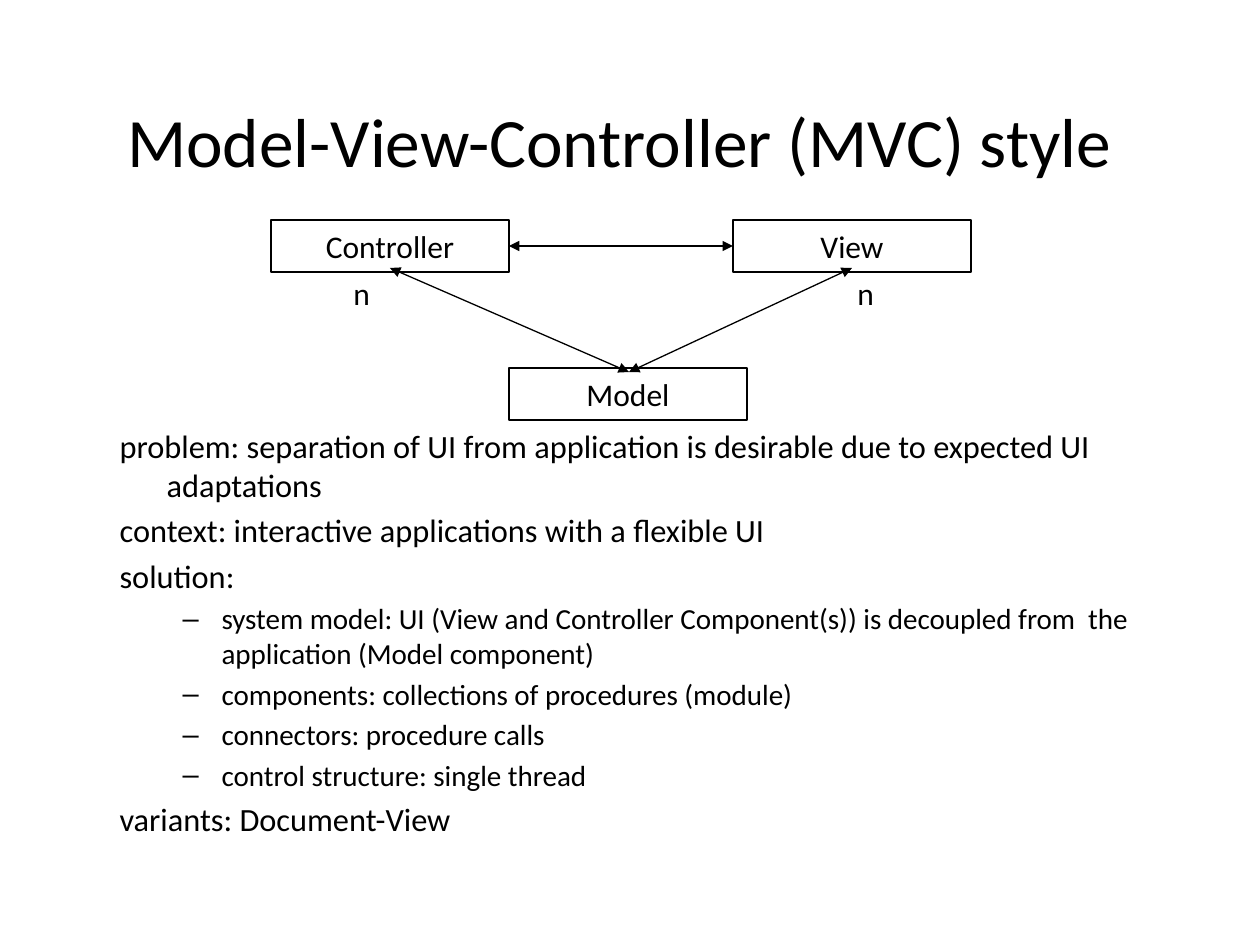
from lxml import etree
from pptx import Presentation
from pptx.dml.color import RGBColor
from pptx.enum.shapes import MSO_CONNECTOR, MSO_SHAPE
from pptx.enum.text import MSO_ANCHOR, MSO_AUTO_SIZE, PP_ALIGN
from pptx.oxml.ns import qn
from pptx.util import Inches, Pt

PX = 914400 / 126
FONT, BLACK, WHITE = "Calibri", "000000", "FFFFFF"
TITLE = "Model-View-Controller (MVC) style"
BODY = [
    (0, "problem: separation of UI from application is desirable due to expected UI adaptations"),
    (0, "context: interactive applications with a flexible UI"),
    (0, "solution:"),
    (1, "system model: UI (View and Controller Component(s)) is decoupled from  the application (Model component)"),
    (1, "components: collections of procedures (module)"),
    (1, "connectors: procedure calls"),
    (1, "control structure: single thread"),
    (0, "variants: Document-View"),
]
# Per level: text size, left margin px, bullet character
LEVELS = [(18.5, 47, None), (16.6, 102, "–")]
HANGS = [47, 39]


def px(*values):
    return [round(v * PX) for v in values]


def color(value):
    return RGBColor.from_string(value)


def place(sp, box):
    sp.left, sp.top, sp.width, sp.height = px(*box)


def add_run(p, text, size):
    r = p.add_run()
    r.text = text
    r.font.name, r.font.size = FONT, Pt(size)
    r.font.color.rgb = color(BLACK)


def add_title(sp, box):
    place(sp, box)
    tf = sp.text_frame
    tf.auto_size = MSO_AUTO_SIZE.NONE
    tf.vertical_anchor = MSO_ANCHOR.MIDDLE
    p = tf.paragraphs[0]
    p.alignment = PP_ALIGN.CENTER
    add_run(p, TITLE, 39.6)


def set_bullet(p, margin, hang, char):
    pPr = p._p.get_or_add_pPr()
    pPr.set("marL", str(px(margin)[0]))
    pPr.set("indent", str(-px(hang)[0]))
    if char:
        etree.SubElement(pPr, qn("a:buChar")).set("char", char)
    else:
        etree.SubElement(pPr, qn("a:buNone"))


def add_body(sp, box):
    place(sp, box)
    tf = sp.text_frame
    tf.auto_size = MSO_AUTO_SIZE.NONE
    for i, (level, text) in enumerate(BODY):
        p = tf.add_paragraph() if i else tf.paragraphs[0]
        size, margin, char = LEVELS[level]
        p.level = level
        set_bullet(p, margin, HANGS[level], char)
        p.space_before = Pt(round(size * 0.2, 1) if i else 0)
        add_run(p, text, size)


def add_node(shapes, text, box):
    sp = shapes.add_shape(MSO_SHAPE.RECTANGLE, *px(*box))
    sp.shadow.inherit = False
    sp.fill.solid()
    sp.fill.fore_color.rgb = color(WHITE)
    sp.line.color.rgb = color(BLACK)
    sp.line.width = Pt(0.75)
    tf = sp.text_frame
    tf.word_wrap = True
    tf.vertical_anchor = MSO_ANCHOR.MIDDLE
    p = tf.paragraphs[0]
    p.alignment = PP_ALIGN.CENTER
    add_run(p, text, 18)


def add_double_arrow(shapes, start, end):
    line = shapes.add_connector(MSO_CONNECTOR.STRAIGHT, *px(*start, *end))
    line.line.color.rgb = color(BLACK)
    line.line.width = Pt(0.75)
    ln = line.line._get_or_add_ln()
    for tag in ("a:headEnd", "a:tailEnd"):
        etree.SubElement(ln, qn(tag)).set("type", "triangle")
    etree.SubElement(line._element.spPr, qn("a:effectLst"))


def add_label(shapes, text, box):
    tf = shapes.add_textbox(*px(*box)).text_frame
    tf.word_wrap = False
    add_run(tf.paragraphs[0], text, 18)


def add_diagram(shapes, box):
    """Controller and View on top, Model centred below, joined by arrows."""
    x, y, w, h = box
    node_w, node_h, overlap = 238, 52, 4
    right, mid = x + w - node_w, x + node_w
    low = y + h - node_h
    add_node(shapes, "Model", (mid, low, node_w, node_h))
    add_node(shapes, "View", (right, y, node_w, node_h))
    add_node(shapes, "Controller", (x, y, node_w, node_h))

    under = y + node_h - overlap
    model_top = (mid + node_w / 2 + 1, low + overlap)
    add_double_arrow(shapes, (x + node_w / 2, under), model_top)
    add_double_arrow(shapes, model_top, (right + node_w / 2, under))
    add_double_arrow(shapes, (mid, y + node_h / 2), (right, y + node_h / 2))
    for label_x in (x + 574, x + 70):
        add_label(shapes, "n", (label_x, under, 39, 50))


def main():
    prs = Presentation()
    prs.slide_width, prs.slide_height = Inches(10), Inches(7.5)
    slide = prs.slides.add_slide(prs.slide_layouts[1])
    add_title(slide.shapes.title, (84, 87, 1071, 105))
    add_body(slide.placeholders[1], (107, 420, 1071, 389))
    add_diagram(slide.shapes.add_group_shape().shapes, (271, 220, 700, 200))
    prs.save("out.pptx")


if __name__ == "__main__":
    main()
